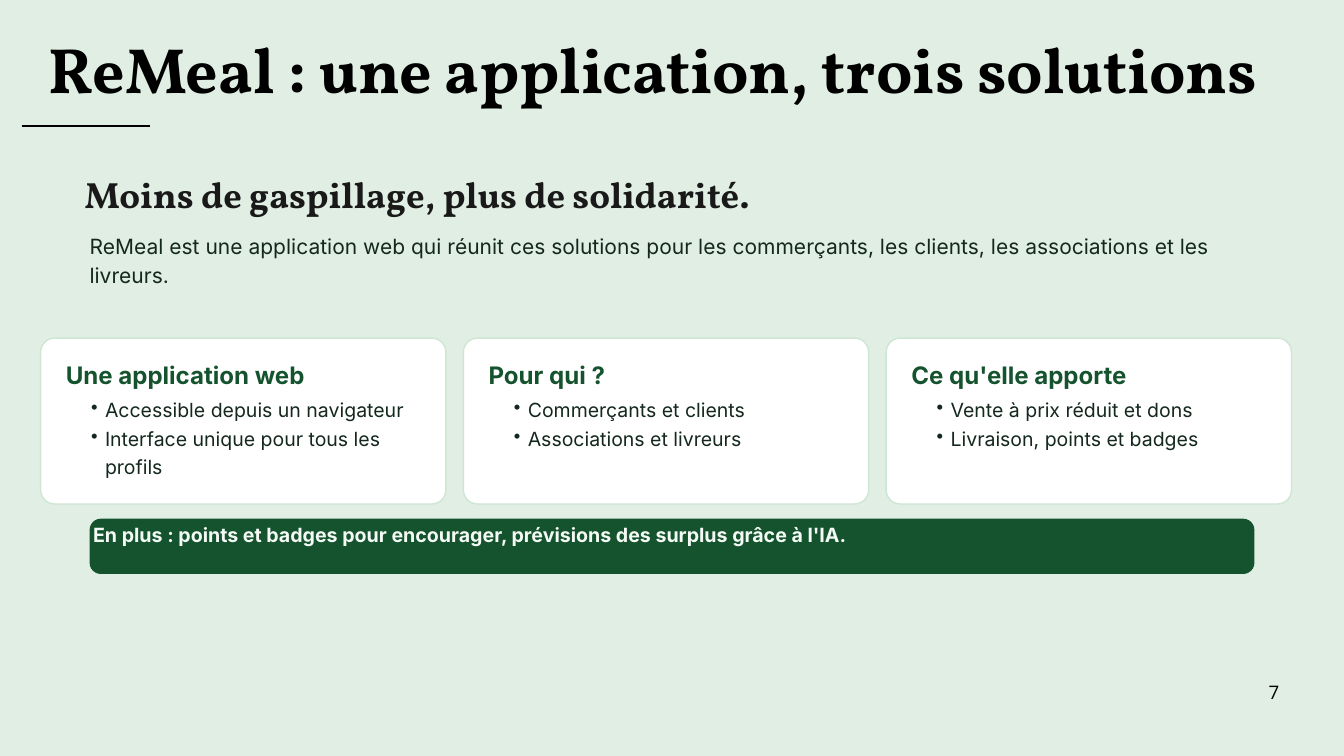
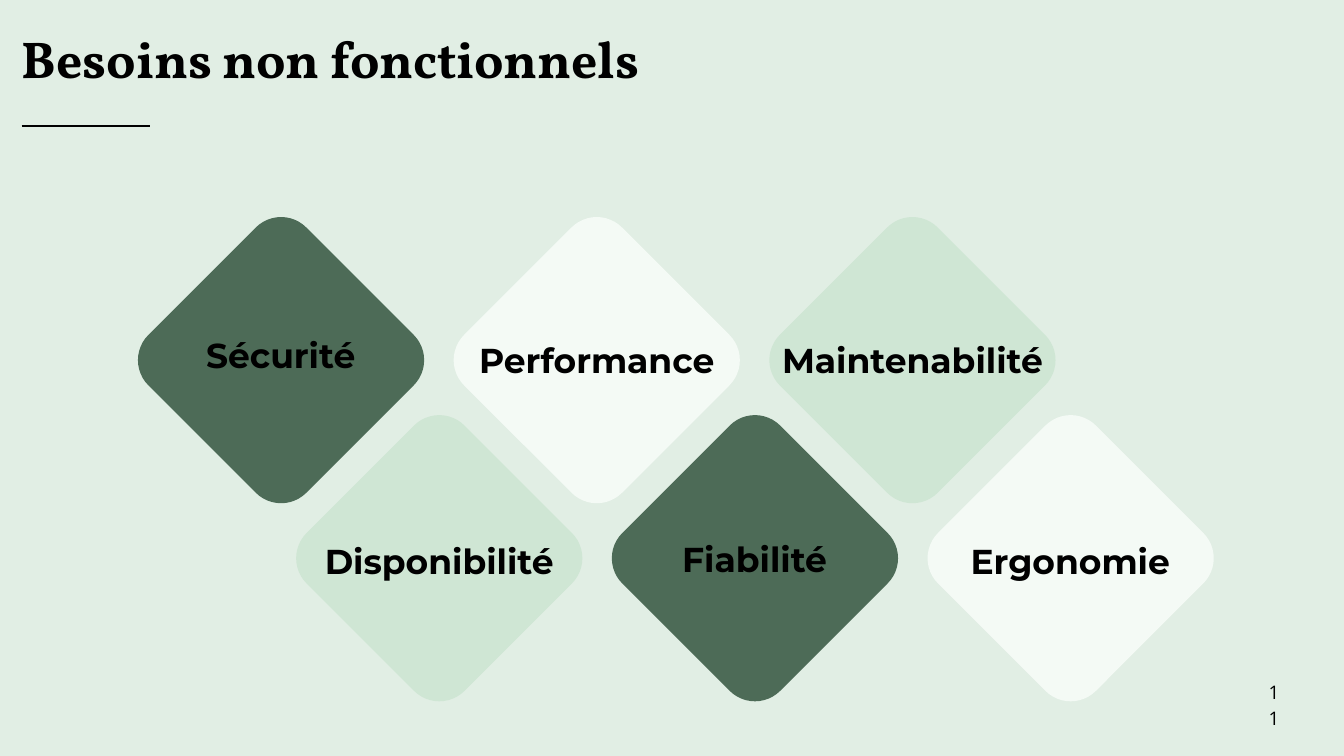
from lxml import etree
from pptx import Presentation
from pptx.dml.color import RGBColor
from pptx.enum.shapes import MSO_CONNECTOR, MSO_SHAPE
from pptx.enum.text import PP_ALIGN
from pptx.oxml.ns import qn
from pptx.util import Pt

EMU_PER_PX = 9525
BLACK, INK, CHARCOAL = "000000", "14281D", "191919"
FOREST, MOSS, MINT = "14532D", "4D6B57", "CFE6D4"
PALE, WHITE = "F4FAF5", "FFFFFF"
SERIF, SANS, LABEL, NUMBER = "Vollkorn", "Inter", "Montserrat", "Open Sans"

CARDS = [
    ("Une application web",
     ["Accessible depuis un navigateur", "Interface unique pour tous les profils"]),
    ("Pour qui ?", ["Commerçants et clients", "Associations et livreurs"]),
    ("Ce qu'elle apporte",
     ["Vente à prix réduit et dons", "Livraison, points et badges"]),
]

# Label, label top and label width, from left to right
NEEDS = [
    ("Sécurité", 473, 284),
    ("Disponibilité", 767, 343),
    ("Performance", 480, 349),
    ("Fiabilité", 765, 284),
    ("Maintenabilité", 480, 429),
    ("Ergonomie", 767, 326),
]


def px(value):
    return int(value * EMU_PER_PX)


def color(value):
    return RGBColor.from_string(value)


def add_text(slide, box, lines, font, size, spacing, ink=BLACK, bold=False,
             align=PP_ALIGN.LEFT, inset=0, bullets=False):
    frame = slide.shapes.add_textbox(*map(px, box)).text_frame
    frame.word_wrap = True
    frame.margin_left = frame.margin_right = px(inset)
    frame.margin_top = frame.margin_bottom = px(inset)
    frame.text = "\n".join(lines)
    for paragraph in frame.paragraphs:
        if bullets:
            add_bullet(paragraph)
        paragraph.alignment = align
        paragraph.line_spacing = Pt(spacing)
        for run in paragraph.runs:
            run.font.name = font
            run.font.size = Pt(size)
            run.font.bold = bold
            run.font.color.rgb = color(ink)


def add_bullet(paragraph):
    paragraph.level = 1
    properties = paragraph._p.get_or_add_pPr()
    properties.set("marL", str(px(39)))
    properties.set("indent", str(px(-20)))
    etree.SubElement(properties, qn("a:buChar")).set("char", "•")


def add_rounded(slide, box, radius, fill, outline=None):
    shape = slide.shapes.add_shape(MSO_SHAPE.ROUNDED_RECTANGLE, *map(px, box))
    shape.adjustments[0] = radius / min(box[2:])
    shape.shadow.inherit = False
    shape.fill.solid()
    shape.fill.fore_color.rgb = color(fill)
    if outline:
        shape.line.color.rgb = color(outline)
        shape.line.width = Pt(1.5)
    else:
        shape.line.fill.background()
    return shape


def add_rule(slide):
    rule = slide.shapes.add_connector(
        MSO_CONNECTOR.STRAIGHT, px(31), px(180), px(214), px(180))
    rule.line.color.rgb = color(BLACK)
    rule.line.width = Pt(3)
    etree.SubElement(rule._element.spPr, qn("a:effectLst"))


def add_slide(presentation, background, title, title_box, size, spacing, number):
    """Blank slide with the shared title, rule and page number."""
    slide = presentation.slides.add_slide(presentation.slide_layouts[6])
    slide.background.fill.solid()
    slide.background.fill.fore_color.rgb = color(background)
    add_rule(slide)
    add_text(slide, title_box, [title], SERIF, size, spacing, bold=True)
    add_text(slide, (1812, 967, 16, 21), [number], NUMBER, 20, 28,
             align=PP_ALIGN.CENTER)
    return slide


def add_card(slide, left, heading, points):
    add_rounded(slide, (left, 483, 579, 237), 20, WHITE, MINT)
    add_text(slide, (left + 36, 515, 521, 45), [heading], SANS, 25.8, 30.9,
             FOREST, bold=True)
    add_text(slide, (left + 53, 562, 503, 130), points, SANS, 20.9, 30.4,
             INK, bullets=True)


def add_solution_slide(presentation):
    slide = add_slide(presentation, "E0EEE3",
                      "ReMeal : une application, trois solutions",
                      (70, 24, 1791, 122), 68.5, 95.9, "7")

    # Introduction
    add_text(slide, (121, 256, 1728, 55), ["Moins de gaspillage, plus de solidarité."],
             SERIF, 39.1, 39.5, CHARCOAL, bold=True)
    add_text(slide, (128, 327, 1714, 93),
             ["ReMeal est une application web qui réunit ces solutions pour les "
              "commerçants, les clients, les associations et les livreurs."],
             SANS, 22.5, 31.5, INK)

    # Three cards
    for column, (heading, points) in enumerate(CARDS):
        add_card(slide, 58 + 604 * column, heading, points)

    # Banner
    add_rounded(slide, (128, 741, 1664, 79), 16, FOREST)
    add_text(slide, (128, 737, 1664, 83),
             ["En plus : points et badges pour encourager, "
              "prévisions des surplus grâce à l'IA."],
             SANS, 21, 29.4, PALE, bold=True, inset=5)


def add_needs_slide(presentation):
    slide = add_slide(presentation, "E1EEE4", "Besoins non fonctionnels",
                      (31, 24, 1868, 99), 55.5, 77.7, "11")

    # Diamonds alternate between two rows, each with a centred label
    side = 319
    fills = [MOSS, MINT, PALE]
    for index, (name, label_top, label_width) in enumerate(NEEDS):
        pair, row = divmod(index, 2)
        left = 242 + 451 * pair + 226 * row
        diamond = add_rounded(slide, (left, 355 + 283 * row, side, side), 51,
                              fills[index % len(fills)])
        diamond.rotation = 45
        label_left = left + (side - label_width) // 2
        add_text(slide, (label_left, label_top, label_width, 62), [name],
                 LABEL, 37, 47.4, bold=True, align=PP_ALIGN.CENTER)


def main():
    presentation = Presentation()
    presentation.slide_width = px(1920)
    presentation.slide_height = px(1080)
    add_solution_slide(presentation)
    add_needs_slide(presentation)
    presentation.save("out.pptx")


if __name__ == "__main__":
    main()
